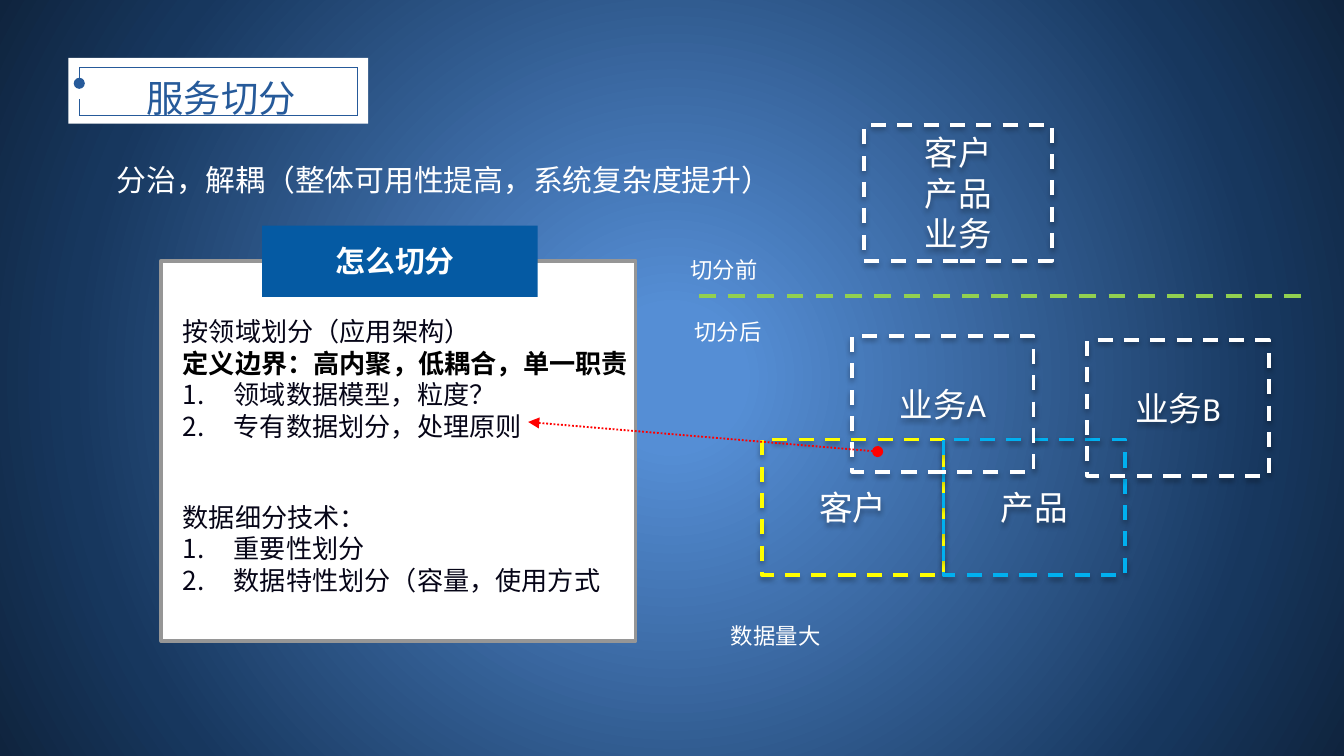
from lxml import etree
from pptx import Presentation
from pptx import util as u
from pptx.dml.color import RGBColor
from pptx.enum import dml, shapes, text
from pptx.oxml import parse_xml
from pptx.oxml.ns import nsdecls, qn

PX = 9144  # one px is a hundredth of an inch
WHITE = RGBColor(0xFF, 0xFF, 0xFF)
BLACK = RGBColor(0x00, 0x00, 0x00)
INK = RGBColor(0x06, 0x05, 0x17)
TITLE_BLUE = RGBColor(0x26, 0x5A, 0x9A)
TAB_BLUE = RGBColor(0x05, 0x5A, 0xA3)
GREY = RGBColor(0x96, 0x96, 0x96)
YELLOW = RGBColor(0xFF, 0xFF, 0x00)
SKY = RGBColor(0x00, 0xB0, 0xF0)
GREEN = RGBColor(0x92, 0xD0, 0x50)
RED = RGBColor(0xFF, 0x00, 0x00)
GLOW = [
    (9, RGBColor(0x55, 0x8E, 0xD5)),
    (78, RGBColor(0x17, 0x37, 0x5E)),
    (100, RGBColor(0x0F, 0x24, 0x3E)),
]
CJK = "Noto Sans CJK SC"
DASH = dml.MSO_LINE.DASH


def px(*values):
    return [u.Emu(value * PX) for value in values]


def write(frame, lines, size=12, font=CJK, color=WHITE, bold=False,
          align=text.PP_ALIGN.LEFT, anchor=text.MSO_ANCHOR.TOP,
          spacing=None, inset=(10, 5), numbered=(), strong=()):
    """Fill a text frame; numbered and strong hold paragraph indexes."""
    frame.word_wrap = True
    frame.auto_size = text.MSO_AUTO_SIZE.NONE
    frame.vertical_anchor = anchor
    frame.margin_left = frame.margin_right = inset[0] * PX
    frame.margin_top = frame.margin_bottom = inset[1] * PX
    for index, line in enumerate(lines):
        para = frame.paragraphs[0] if index == 0 else frame.add_paragraph()
        para.alignment = align
        if spacing:
            para.line_spacing = spacing
        if index in numbered:
            props = para._p.get_or_add_pPr()
            props.set("marL", str(38 * PX))
            props.set("indent", str(-38 * PX))
            etree.SubElement(props, qn("a:buAutoNum"), type="arabicPeriod")
        span = para.add_run()
        span.text = line
        is_strong = index in strong
        span.font.size = u.Pt(size)
        span.font.bold = bold or is_strong
        span.font.name = "Calibri" if is_strong else font
        span.font.color.rgb = BLACK if is_strong else color
        etree.SubElement(span._r.get_or_add_rPr(), qn("a:ea"), typeface=CJK)


def add_text(page, box, lines, **style):
    label = page.shapes.add_textbox(*px(*box))
    write(label.text_frame, lines, **style)


def add_box(page, box, fill=None, line=None, dash=None):
    shape = page.shapes.add_shape(shapes.MSO_SHAPE.RECTANGLE, *px(*box))
    shape.shadow.inherit = False
    if fill is None:
        shape.fill.background()
    else:
        shape.fill.solid()
        shape.fill.fore_color.rgb = fill
    if line is None:
        shape.line.fill.background()
    else:
        shape.line.color.rgb = line
        shape.line.width = u.Pt(2)
        shape.line.dash_style = dash
    return shape


def add_line(page, ends, color, width, dash=None, head=None, tail=None):
    line = page.shapes.add_connector(shapes.MSO_CONNECTOR.STRAIGHT, *px(*ends))
    line.line.color.rgb = color
    line.line.width = u.Pt(width)
    line.line.dash_style = dash
    for tag, kind in (("a:headEnd", head), ("a:tailEnd", tail)):
        if kind:
            etree.SubElement(line.line._get_or_add_ln(), qn(tag), type=kind)
    etree.SubElement(line._element.spPr, qn("a:effectLst"))


def paint_background(page):
    stops = "".join(
        f'<a:gs pos="{pos * 1000}"><a:srgbClr val="{color}"/></a:gs>'
        for pos, color in GLOW)
    page._element.cSld.insert(0, parse_xml(
        f'<p:bg {nsdecls("p", "a")}><p:bgPr><a:gradFill rotWithShape="1">'
        f'<a:gsLst>{stops}</a:gsLst><a:path path="circle">'
        '<a:fillToRect l="50000" t="50000" r="50000" b="50000"/></a:path>'
        '</a:gradFill><a:effectLst/></p:bgPr></p:bg>'))


def title_plate(page, box):
    x, y, width, height = box
    add_box(page, box, fill=WHITE)
    # Thin frame, open on the left between two stubs
    left, top, right, bottom = x + 8, y + 7, x + width - 8, y + height - 6
    for ends in ((left, top, right, top), (right, top, right, bottom),
                 (right, bottom, left, bottom), (left, bottom, left, bottom - 12)):
        add_line(page, ends, TITLE_BLUE, 0.25)
    add_line(page, (left, top, left, top + 12), TITLE_BLUE, 0.25, tail="oval")
    # Title stands in front of its plate
    title = page.shapes.title
    title.left, title.top, title.width, title.height = px(x + 12, y - 9, 203, 55)
    write(title.text_frame, ["服务切分"], size=20, color=TITLE_BLUE,
          align=text.PP_ALIGN.CENTER, spacing=1.5)
    page.shapes._spTree.append(title._element)


def method_panel(page, box):
    x, y, width, height = box
    add_box(page, box, fill=WHITE, line=GREY)
    # Heading tab
    add_box(page, (x + 75, y - 26, 205, 53), fill=TAB_BLUE)
    add_text(page, (x + 120, y - 18, 146, 37), ["怎么切分"],
             size=16, font="Arial", bold=True)
    # Two lists
    add_text(page, (x + 16, y + 41, 334, 94),
             ["按领域划分（应用架构）", "定义边界：高内聚，低耦合，单一职责",
              "领域数据模型，粒度？", "专有数据划分，处理原则"],
             size=14, color=INK, inset=(0, 0), numbered=(2, 3), strong=(1,))
    add_text(page, (x + 16, y + 179, 334, 71),
             ["数据细分技术：", "重要性划分", "数据特性划分（容量，使用方式"],
             size=14, color=INK, inset=(0, 0), numbered=(1, 2))


def domain_box(page, box, lines, line):
    shape = add_box(page, box, line=line, dash=DASH)
    shape._element.spPr.find(qn("a:effectLst")).append(parse_xml(
        f'<a:outerShdw {nsdecls("a")} blurRad="38100" dist="22860" '
        'dir="5400000" rotWithShape="0"><a:srgbClr val="000000">'
        '<a:alpha val="35000"/></a:srgbClr></a:outerShdw>'))
    write(shape.text_frame, lines, size=18, font="Calibri", inset=(5, 5),
          align=text.PP_ALIGN.CENTER, anchor=text.MSO_ANCHOR.MIDDLE)


def split_diagram(page, box):
    x, y, width, height = box
    # Before the split
    domain_box(page, (x + 139, y, 140, 101), ["客户", "产品", "业务"], WHITE)
    # After the split
    for left, top, label, color in (
            (63, 234, "客户", YELLOW), (198, 234, "产品", SKY),
            (130, 157, "业务A", WHITE), (305, 160, "业务B", WHITE)):
        domain_box(page, (x + left, y + top, 135, 101), [label], color)
    # Divider and captions
    add_line(page, (x + 16, y + 127, x + width, y + 127), GREEN, 2.25, dash=DASH)
    for left, top, label in ((0, 83, "切分前"), (3, 129, "切分后"),
                             (30, 355, "数据量大")):
        add_text(page, (x + left, y + top, 110, 37), [label], spacing=1.5)


def main():
    deck = Presentation()
    deck.slide_width = u.Emu(1000 * PX)
    deck.slide_height = u.Emu(1000 * PX * 9 // 16)
    page = deck.slides.add_slide(deck.slide_layouts[5])
    paint_background(page)
    title_plate(page, (51, 43, 223, 49))
    method_panel(page, (120, 194, 353, 283))
    split_diagram(page, (504, 93, 468, 395))
    # Pointer from the shared data to its rule
    add_line(page, (653, 336, 393, 314), RED, 1, dash=dml.MSO_LINE.ROUND_DOT,
             head="oval", tail="triangle")
    add_text(page, (77, 102, 566, 50),
             ["分治，解耦（整体可用性提高，系统复杂度提升）"], size=16, spacing=1.5)
    deck.save("out.pptx")


if __name__ == "__main__":
    main()
